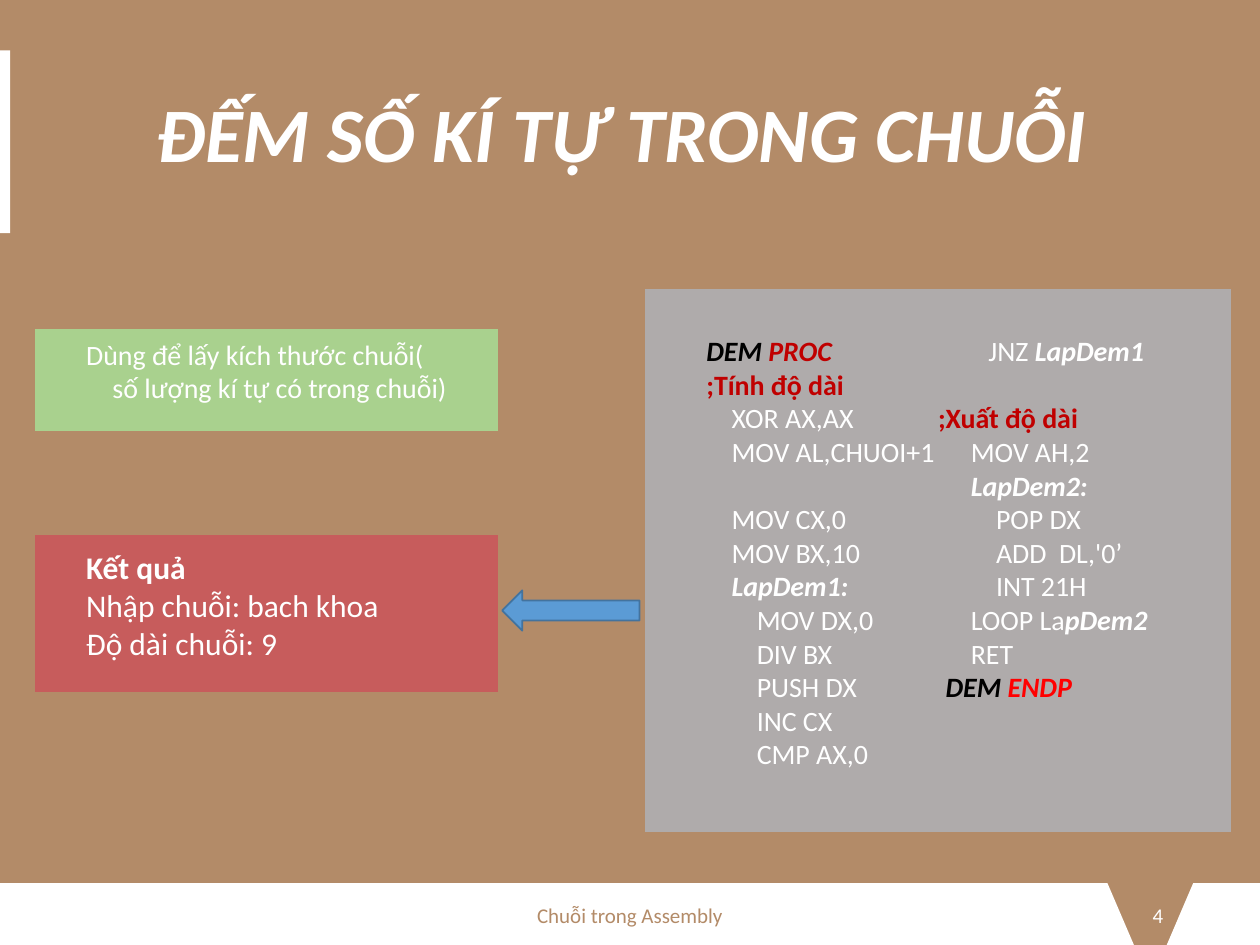
import pptx
import pptx.dml.color
import pptx.enum.shapes
import pptx.enum.text
import pptx.util

SHAPE = pptx.enum.shapes.MSO_SHAPE
ALIGN = pptx.enum.text.PP_ALIGN
ANCHOR = pptx.enum.text.MSO_ANCHOR
Inches = pptx.util.Inches
Pt = pptx.util.Pt

BROWN, WHITE = "B38B68", "FFFFFF"
STYLES = {
    "plain": {"color": WHITE, "bold": False, "italic": False},
    "strong": {"color": WHITE, "bold": True, "italic": False},
    "label": {"color": WHITE, "bold": True, "italic": True},
    "name": {"color": "000000", "bold": True, "italic": True},
    "proc": {"color": "C00000", "bold": True, "italic": True},
    "endp": {"color": "FF0000", "bold": True, "italic": True},
    "comment": {"color": "C00000", "bold": True, "italic": False},
    "footer": {"color": BROWN, "bold": False, "italic": False},
}

DEM_LINES = [
    [("DEM", "name"), (" PROC", "proc")],
    [(";Tính độ dài", "comment")],
    [("    XOR AX,AX", "plain")],
    [("    MOV AL,CHUOI+1", "plain")],
    [("    MOV CX,0", "plain")],
    [("    MOV BX,10", "plain")],
    [("    ", "plain"), ("LapDem1:", "label")],
    [("        MOV DX,0", "plain")],
    [("        DIV BX", "plain")],
    [("        PUSH DX", "plain")],
    [("        INC CX", "plain")],
    [("        CMP AX,0", "plain")],
    [("        JNZ ", "plain"), ("LapDem1", "label")],
    [(";Xuất độ dài", "comment")],
    [("    MOV AH,2", "plain")],
    [("    ", "plain"), ("LapDem2:", "label")],
    [("        POP DX", "plain")],
    [("        ADD  DL,'0’", "plain")],
    [("        INT 21H", "plain")],
    [("    LOOP La", "plain"), ("pDem2", "label")],
    [("    ", "plain"), ("RET", "plain")],
    [("DEM ", "name"), ("ENDP", "endp")],
]
SECTION_STARTS = {4, 13}
INDENTED_FROM = 14


def rgb(value):
    return pptx.dml.color.RGBColor.from_string(value)


def set_all(target, values):
    for name, value in values.items():
        setattr(target, name, value)


def paint(shape, fill, line=None):
    shape.shadow.inherit = False
    shape.fill.solid()
    shape.fill.fore_color.rgb = rgb(fill)
    if line:
        shape.line.color.rgb = rgb(line)
        shape.line.width = Pt(1)
    else:
        shape.line.fill.background()


def write(frame, lines, size, align=ALIGN.LEFT):
    for index, line in enumerate(lines):
        paragraph = frame.paragraphs[0] if index == 0 else frame.add_paragraph()
        paragraph.alignment = align
        for text, style in line:
            run = paragraph.add_run()
            run.text = text
            values = dict(STYLES[style])
            run.font.color.rgb = rgb(values.pop("color"))
            set_all(run.font, {"name": "Calibri", "size": Pt(size), **values})


def add_panel(slide, box, fill, lines, size):
    panel = slide.shapes.add_shape(SHAPE.PARALLELOGRAM, *map(Inches, box))
    panel.adjustments[0] = 0
    paint(panel, fill)
    set_all(panel.text_frame, {
        "word_wrap": True, "vertical_anchor": ANCHOR.TOP,
        "margin_top": 0, "margin_bottom": 0,
    })
    write(panel.text_frame, lines, size)
    return panel.text_frame


def add_title(slide, box):
    left, top, width, height = box
    accent = slide.shapes.add_shape(
        SHAPE.RECTANGLE, 0, Inches(top + 0.03), Inches(0.08), Inches(height))
    paint(accent, WHITE)
    title = slide.shapes.title
    set_all(title, dict(zip(("left", "top", "width", "height"), map(Inches, box))))
    set_all(title.text_frame, {"word_wrap": True, "vertical_anchor": ANCHOR.MIDDLE})
    write(title.text_frame, [[("ĐẾM SỐ KÍ TỰ TRONG CHUỖI", "label")]], 44)
    title.text_frame.paragraphs[0].line_spacing = 0.9


def add_purpose(slide, box):
    lines = [[("Dùng để lấy kích thước chuỗi(", "plain")],
             [("số lượng kí tự có trong chuỗi)", "plain")]]
    frame = add_panel(slide, box, "A9D18E", lines, 16)
    frame.paragraphs[1].alignment = ALIGN.RIGHT


def add_result(slide, box):
    lines = [[("Kết quả", "strong")],
             [("Nhập chuỗi: bach khoa", "plain")],
             [("Độ dài chuỗi: 9", "plain")]]
    add_panel(slide, box, "C75C5C", lines, 18)


def add_code(slide, box):
    frame = add_panel(slide, box, "AFABAB", DEM_LINES, 16)
    body = frame.paragraphs[0]._p.getparent().bodyPr
    body.set("numCol", "2")
    for index, paragraph in enumerate(frame.paragraphs):
        if index in SECTION_STARTS:
            paragraph.space_before = Pt(19.2)
        if index >= INDENTED_FROM:
            paragraph._p.get_or_add_pPr().set("marL", str(Inches(0.06)))


def add_arrow(slide, box):
    arrow = slide.shapes.add_shape(SHAPE.DOWN_ARROW, *map(Inches, box))
    arrow.rotation = 90
    paint(arrow, "5B9BD5", "43739E")


def add_footer(slide, box):
    left, top, width, height = box
    bands = [
        [(9.47, 0), (width, 0), (width, height), (9.26, height)],
        [(0, 0), (8.79, 0), (9, height), (0, height)],
    ]
    builder = None
    for band in bands:
        start, *rest = [(Inches(left + x), Inches(top + y)) for x, y in band]
        if builder is None:
            builder = slide.shapes.build_freeform(*start)
        else:
            builder.move_to(*start)
        builder.add_line_segments(rest, close=True)
    paint(builder.convert_to_shape(), WHITE)

    labels = [
        (2.77, 4.46, "Chuỗi trong Assembly", "footer", ALIGN.CENTER),
        (8.86, 0.47, "4", "plain", ALIGN.RIGHT),
    ]
    for offset, label_width, text, style, align in labels:
        label = slide.shapes.add_textbox(
            Inches(left + offset), Inches(top + 0.05), Inches(label_width), Inches(0.4))
        set_all(label.text_frame, {"word_wrap": True, "vertical_anchor": ANCHOR.MIDDLE})
        write(label.text_frame, [[(text, style)]], 12, align)


def main():
    deck = pptx.Presentation()
    set_all(deck, {"slide_width": Inches(10), "slide_height": Inches(7.5)})
    slide = deck.slides.add_slide(deck.slide_layouts[5])
    slide.background.fill.solid()
    slide.background.fill.fore_color.rgb = rgb(BROWN)
    add_title(slide, (1.14, 0.37, 8.62, 1.45))
    add_footer(slide, (0, 7.01, 10, 0.49))
    add_result(slide, (0.28, 4.25, 3.67, 1.24))
    add_purpose(slide, (0.28, 2.61, 3.67, 0.81))
    add_arrow(slide, (4.37, 4.3, 0.32, 1.09))
    add_code(slide, (5.12, 2.29, 4.65, 4.31))
    deck.save("out.pptx")


if __name__ == "__main__":
    main()
